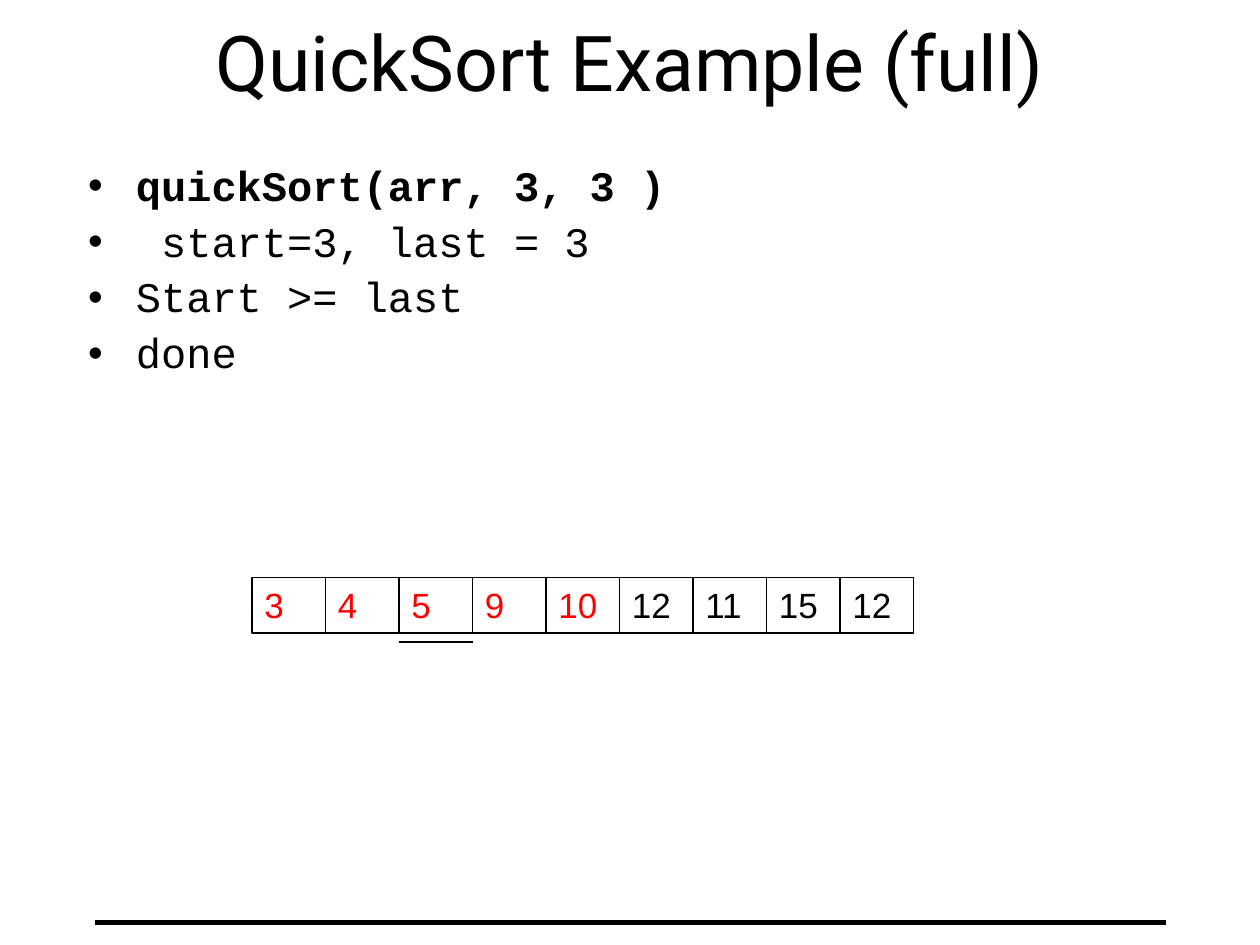
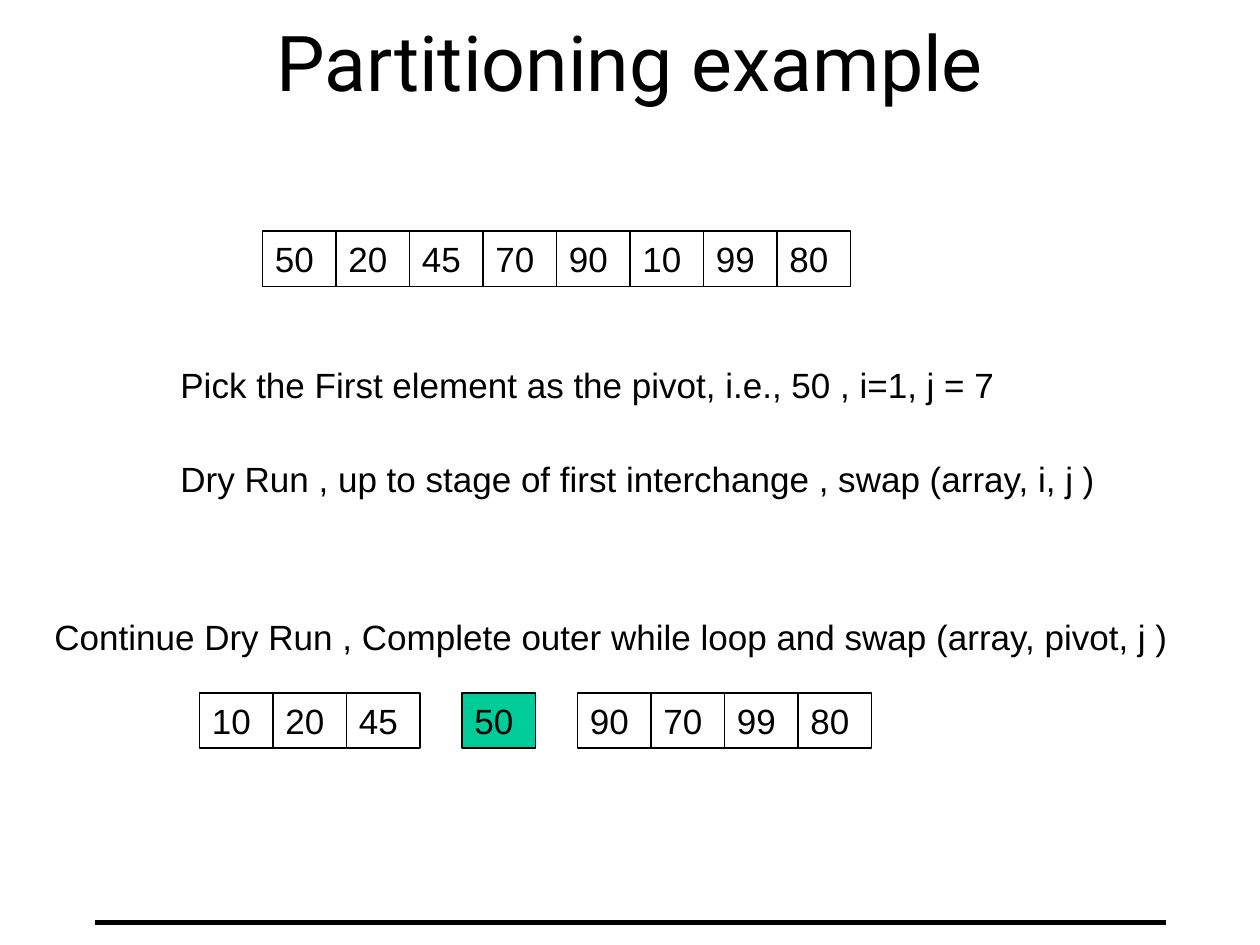
"""Builds two slides on quicksort and partitioning."""
from lxml.etree import SubElement
from pptx import Presentation
from pptx.dml.color import RGBColor
from pptx.enum.shapes import MSO_CONNECTOR, MSO_SHAPE
from pptx.enum.text import MSO_ANCHOR, PP_ALIGN
from pptx.oxml.ns import qn
from pptx.util import Inches, Pt

COLORS = {"ink": "000000", "sorted": "FF0000", "pivot": "00CC99"}
FONTS = {"title": "Roboto", "code": "Courier New", "body": "Arial"}

WIDTH, HEIGHT = 10, 7.5
UNIT = 1 / 12
CELL_UNITS = 7
ROW_HEIGHT = 0.44
INSETS = (0.1, 0.05)

QUICKSORT = {
    "title": "QuickSort Example (full)",
    "calls": ["quickSort(arr, 3, 3 )", " start=3, last = 3", "Start >= last", "done"],
    "array": [3, 4, 5, 9, 10, 12, 11, 15, 12],
    "sorted_count": 5,
    "marked_index": 2,
    "array_at": (24, 55),
}
PARTITIONING = {
    "title": "Partitioning example",
    "array": [50, 20, 45, 70, 90, 10, 99, 80],
    "array_at": (25, 22),
    "steps": [
        ("Pick the First element as the pivot, i.e., 50 , i=1, j = 7", 16, 34, 89),
        ("Dry Run , up to stage of first interchange , swap (array, i, j )", 16, 43, 94),
        ("Continue Dry Run , Complete outer while loop and swap (array, pivot, j )", 4, 58, 109),
    ],
    "partitions": [([10, 20, 45], None), ([50], "pivot"), ([90, 70, 99, 80], None)],
    "partitions_at": (19, 66),
    "partition_gap": 4,
}


def rgb(name):
    return RGBColor.from_string(COLORS[name])


def box_lengths(*lengths):
    return [Inches(length) for length in lengths]


def write(shape, *lines, font="body", size=20, color="ink", align=PP_ALIGN.LEFT,
          anchor=MSO_ANCHOR.TOP, bullet=None, bold_first=False, spacing=None, before=0):
    frame = shape.text_frame
    frame.word_wrap = True
    frame.vertical_anchor = anchor
    frame.margin_left = frame.margin_right = Inches(INSETS[0])
    frame.margin_top = frame.margin_bottom = Inches(INSETS[1])
    for index, line in enumerate(lines):
        paragraph = frame.add_paragraph() if index else frame.paragraphs[0]
        paragraph.alignment = align
        if bullet:
            properties = paragraph._p.get_or_add_pPr()
            properties.set("marL", str(Inches(0.38)))
            properties.set("indent", str(-Inches(0.38)))
            SubElement(properties, qn("a:buFont")).set("typeface", FONTS["body"])
            SubElement(properties, qn("a:buChar")).set("char", bullet)
        if spacing:
            paragraph.line_spacing = spacing
        if index:
            paragraph.space_before = Pt(before)
        run = paragraph.add_run()
        run.text = str(line)
        run.font.name = FONTS[font]
        run.font.size = Pt(size)
        run.font.bold = bold_first and index == 0
        run.font.color.rgb = rgb(color)


def draw_line(slide, start, end, width):
    line = slide.shapes.add_connector(MSO_CONNECTOR.STRAIGHT, *box_lengths(*start, *end))
    line.line.color.rgb = rgb("ink")
    line.line.width = Pt(width)
    SubElement(line._element.spPr, qn("a:effectLst"))


def draw_cells(slide, values, column, row, fill=None, sorted_count=0):
    for index, value in enumerate(values):
        left = (column + index * CELL_UNITS) * UNIT
        cell = slide.shapes.add_shape(
            MSO_SHAPE.RECTANGLE, *box_lengths(left, row * UNIT, CELL_UNITS * UNIT, ROW_HEIGHT))
        cell.shadow.inherit = False
        if fill:
            cell.fill.solid()
            cell.fill.fore_color.rgb = rgb(fill)
        else:
            cell.fill.background()
        cell.line.color.rgb = rgb("ink")
        cell.line.width = Pt(1)
        write(cell, value, color="sorted" if index < sorted_count else "ink")


def start_slide(deck, title):
    slide = deck.slides.add_slide(deck.slide_layouts[6])
    margin = 0.075 * WIDTH
    footer_y = 0.976 * HEIGHT
    draw_line(slide, (margin, footer_y), (WIDTH - margin, footer_y), 3)
    heading = slide.shapes.add_textbox(*box_lengths(margin, 0, WIDTH - 2 * margin, 0.96))
    write(heading, title, font="title", size=44, align=PP_ALIGN.CENTER, anchor=MSO_ANCHOR.MIDDLE)
    return slide


def build_quicksort(deck):
    slide = start_slide(deck, QUICKSORT["title"])
    calls = slide.shapes.add_textbox(*box_lengths(0.6, 1.26, 9.42, 5.56))
    write(calls, *QUICKSORT["calls"], font="code", size=24, align=PP_ALIGN.JUSTIFY,
          bullet="•", bold_first=True, spacing=0.9, before=6)
    column, row = QUICKSORT["array_at"]
    draw_cells(slide, QUICKSORT["array"], column, row, sorted_count=QUICKSORT["sorted_count"])
    mark_left = (column + QUICKSORT["marked_index"] * CELL_UNITS) * UNIT
    mark_y = row * UNIT + ROW_HEIGHT + 0.07
    draw_line(slide, (mark_left, mark_y), (mark_left + CELL_UNITS * UNIT, mark_y), 1)


def build_partitioning(deck):
    slide = start_slide(deck, PARTITIONING["title"])
    draw_cells(slide, PARTITIONING["array"], *PARTITIONING["array_at"])
    for step, column, row, span in PARTITIONING["steps"]:
        note = slide.shapes.add_textbox(
            *box_lengths(column * UNIT, row * UNIT, span * UNIT, ROW_HEIGHT))
        write(note, step)
    column, row = PARTITIONING["partitions_at"]
    for values, fill in PARTITIONING["partitions"]:
        draw_cells(slide, values, column, row, fill=fill)
        column += len(values) * CELL_UNITS + PARTITIONING["partition_gap"]


def main():
    deck = Presentation()
    deck.slide_width, deck.slide_height = box_lengths(WIDTH, HEIGHT)
    build_quicksort(deck)
    build_partitioning(deck)
    deck.save("out.pptx")


if __name__ == "__main__":
    main()
